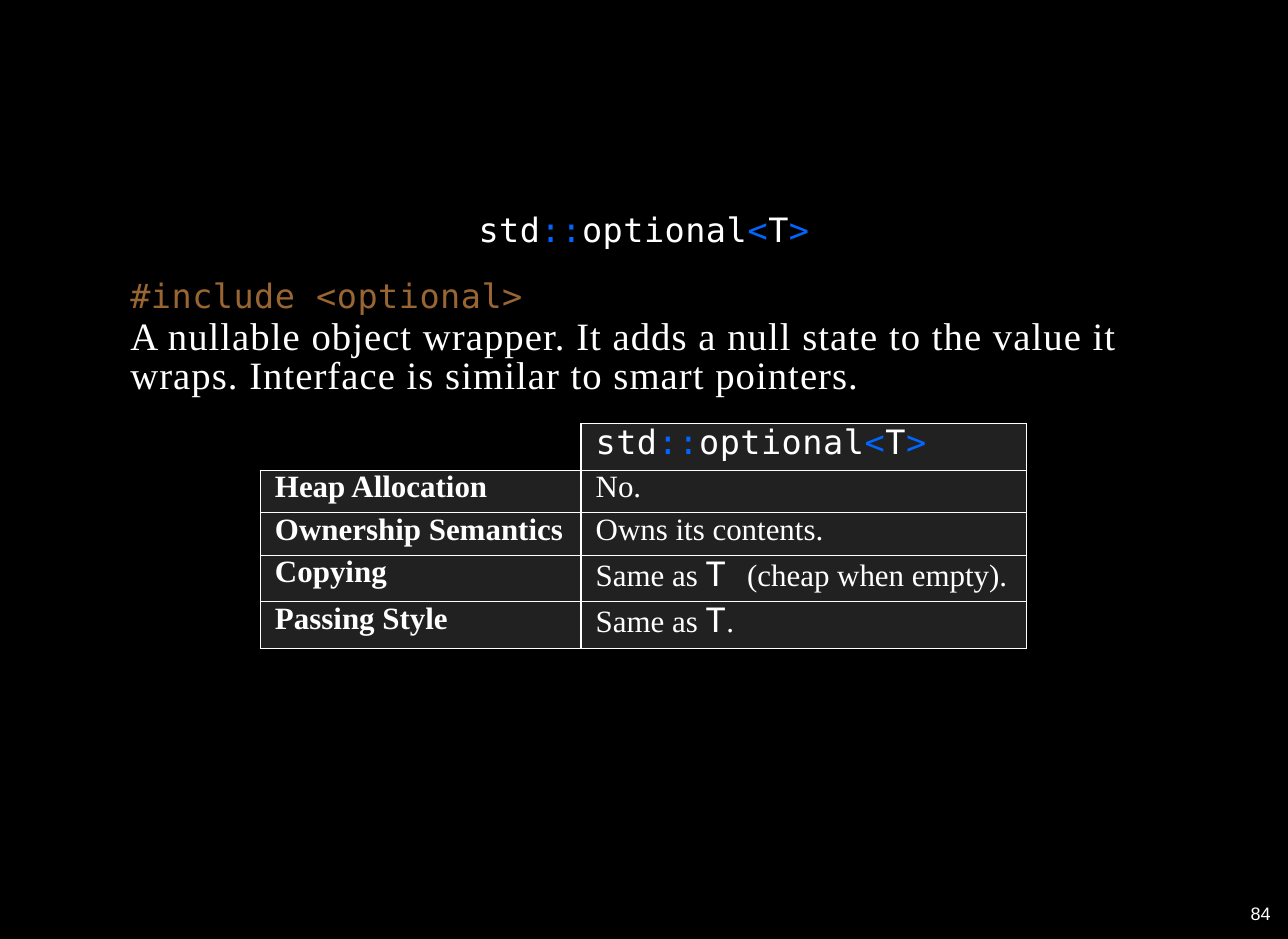
from lxml import etree
from pptx import Presentation, util as u
from pptx.dml import color
from pptx.enum import shapes, text
from pptx.oxml import ns

MONO, SERIF, SANS = "DejaVu Sans Mono", "Times New Roman", "Arial"
WHITE, BLACK, GREY, BLUE, BROWN = "FFFFFF", "000000", "212121", "0066FF", "996633"

prs = Presentation()
prs.slide_width, prs.slide_height = u.Inches(10.4), u.Inches(7.58)


def rgb(value):
    return color.RGBColor.from_string(value)


def across(share):
    """Percent of the slide width."""
    return u.Emu(int(prs.slide_width * share / 100))


def down(share):
    """Percent of the slide height."""
    return u.Emu(int(prs.slide_height * share / 100))


def box(x, y, w, h):
    return across(x), down(y), across(w), down(h)


def add_panel(s, place, level):
    """A black panel at the given level from the back."""
    sp = s.shapes.add_shape(shapes.MSO_SHAPE.RECTANGLE, *place)
    sp.shadow.inherit = False
    sp.fill.solid()
    sp.fill.fore_color.rgb = rgb(BLACK)
    sp.line.fill.background()
    s.shapes._spTree.insert(2 + level, sp._element)


def add_run(p, words, font=SERIF, size=18, fill=WHITE, bold=False, spacing=0):
    r = p.add_run()
    r.text = words
    r.font.name, r.font.size, r.font.bold = font, u.Pt(size), bold
    r.font.color.rgb = rgb(fill)
    if spacing:
        r.font._element.set("spc", str(round(spacing * 100)))


def add_code(p, words, fill=WHITE):
    add_run(p, words, font=MONO, size=19.5, fill=fill, spacing=0.25)


def add_type_name(p):
    """The type name, with its operators in blue."""
    for words in ("std", "::", "optional", "<", "T", ">"):
        add_code(p, words, WHITE if words.isalpha() else BLUE)


def format_frame(s, place, wrap=True):
    s.left, s.top, s.width, s.height = place
    tf = s.text_frame
    tf.margin_left = tf.margin_right = tf.margin_top = tf.margin_bottom = 0
    tf.auto_size = text.MSO_AUTO_SIZE.NONE
    tf.vertical_anchor = text.MSO_ANCHOR.TOP
    tf.word_wrap = wrap
    return tf


def format_paragraph(p, line=None, before=0):
    p.alignment = text.PP_ALIGN.LEFT
    p.space_before = u.Pt(before)
    if line:
        p.line_spacing = u.Pt(line)
    pPr = p._p.get_or_add_pPr()
    pPr.set("marL", "0")
    pPr.set("indent", "0")
    etree.SubElement(pPr, ns.qn("a:buNone"))
    return p


def format_cell(cell, fill, sides):
    tcPr = cell._tc.get_or_add_tcPr()
    for side in "LRTB":
        ln = etree.SubElement(tcPr, ns.qn("a:ln" + side), w=str(u.Pt(0.85)))
        if side in sides:
            paint = etree.SubElement(ln, ns.qn("a:solidFill"))
            etree.SubElement(paint, ns.qn("a:srgbClr"), val=WHITE)
        else:
            etree.SubElement(ln, ns.qn("a:noFill"))
    cell.fill.solid()
    cell.fill.fore_color.rgb = rgb(fill)
    cell.margin_left = u.Inches(0.12)
    cell.margin_right = cell.margin_top = cell.margin_bottom = 0


def add_properties_table(s, rows, x, y, widths, heights):
    frame = s.shapes.add_table(len(heights), len(widths),
                               *box(x, y, sum(widths), sum(heights)))
    table = frame.table
    table.first_row = table.horz_banding = False
    for column, width in zip(table.columns, widths):
        column.width = across(width)
    for row, height in zip(table.rows, heights):
        row.height = down(height)

    # Header: an empty corner and the type name
    format_cell(table.cell(0, 0), BLACK, "RB")
    format_cell(table.cell(0, 1), GREY, "LRTB")
    add_type_name(table.cell(0, 1).text_frame.paragraphs[0])

    # One property per row; T stands in code type
    for i, (name, value) in enumerate(rows, 1):
        for cell in table.rows[i].cells:
            format_cell(cell, GREY, "LRTB")
        add_run(table.cell(i, 0).text_frame.paragraphs[0], name, bold=True)
        p = table.cell(i, 1).text_frame.paragraphs[0]
        for words in value:
            if words.strip() == "T":
                add_code(p, words)
            else:
                add_run(p, words)


def main():
    s = prs.slides.add_slide(prs.slide_layouts[1])

    # Black ground, table corner and page number panel
    panels = [(0, 0, 100, 100), (20.25, 45.12, 24.9, 4.95),
              (96.63, 95.51, 2.6, 3.3)]
    for level, shares in enumerate(panels):
        add_panel(s, box(*shares), level)

    # Title
    tf = format_frame(s.shapes.title, box(37.16, 22.3, 25.87, 3.96), wrap=False)
    add_type_name(format_paragraph(tf.paragraphs[0]))

    # Header file and description
    tf = format_frame(s.placeholders[1], box(10.12, 29.68, 83.08, 12.53))
    add_code(format_paragraph(tf.paragraphs[0], line=21.4),
             "#include <optional>", BROWN)
    p = format_paragraph(tf.add_paragraph(), line=22.5, before=2.5)
    add_run(p, "A nullable object wrapper. It adds a null state to the value it "
               "wraps. Interface is similar to smart pointers.",
            size=22.5, spacing=0.6)

    # Table of properties
    add_properties_table(
        s,
        [("Heap Allocation", ["No."]),
         ("Ownership Semantics", ["Owns its contents."]),
         ("Copying", ["Same as ", "T ", "(cheap when empty)."]),
         ("Passing Style", ["Same as ", "T", "."])],
        x=20.2, y=45.12, widths=[24.9, 34.6],
        heights=[4.95, 4.53, 4.53, 4.95, 4.95])

    # Page number
    place = box(97.1, 96.1, 1.85, 2.24)
    tf = format_frame(s.shapes.add_textbox(*place), place, wrap=False)
    add_run(format_paragraph(tf.paragraphs[0]), "84", font=SANS, size=10.5)

    prs.save("out.pptx")


if __name__ == "__main__":
    main()
